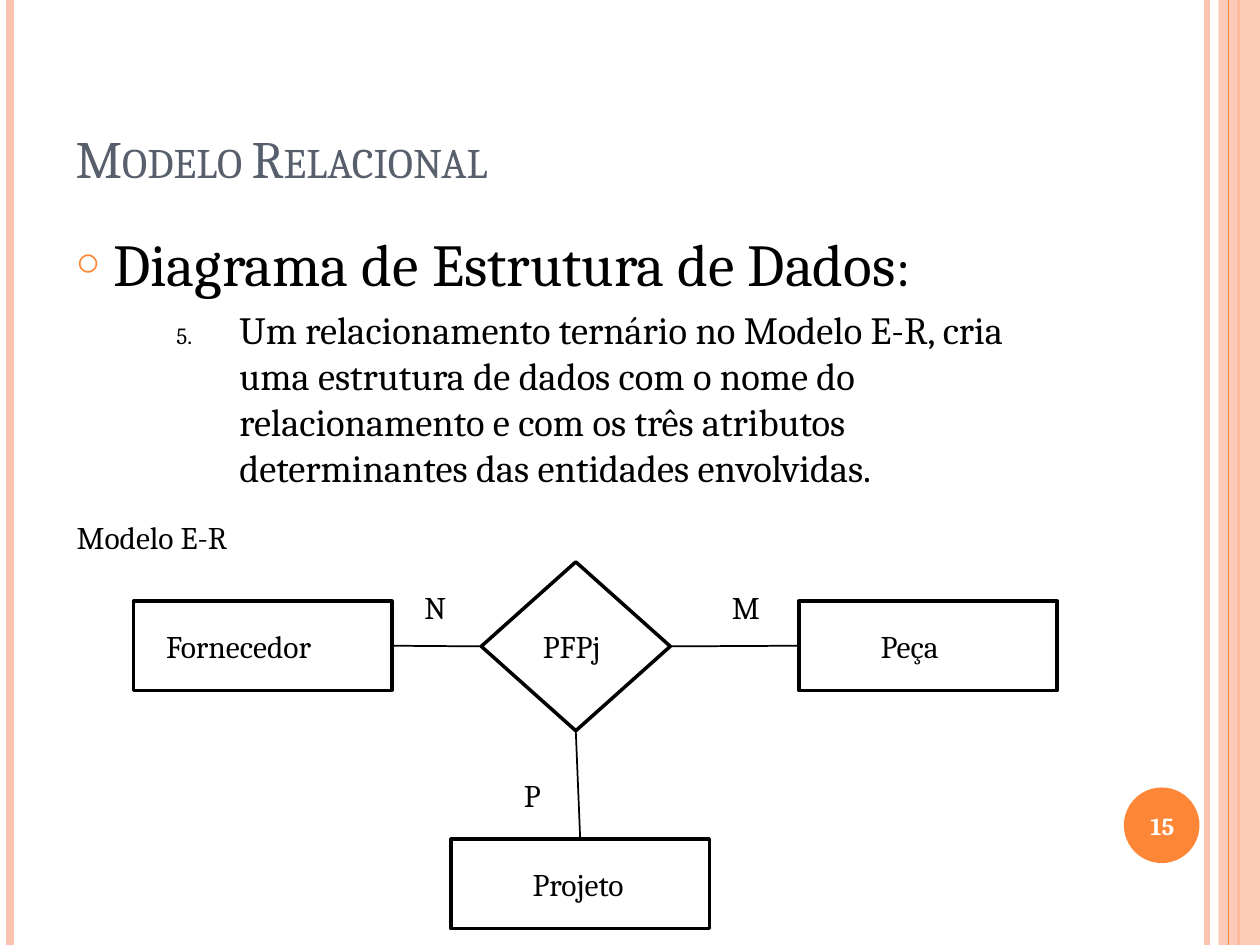
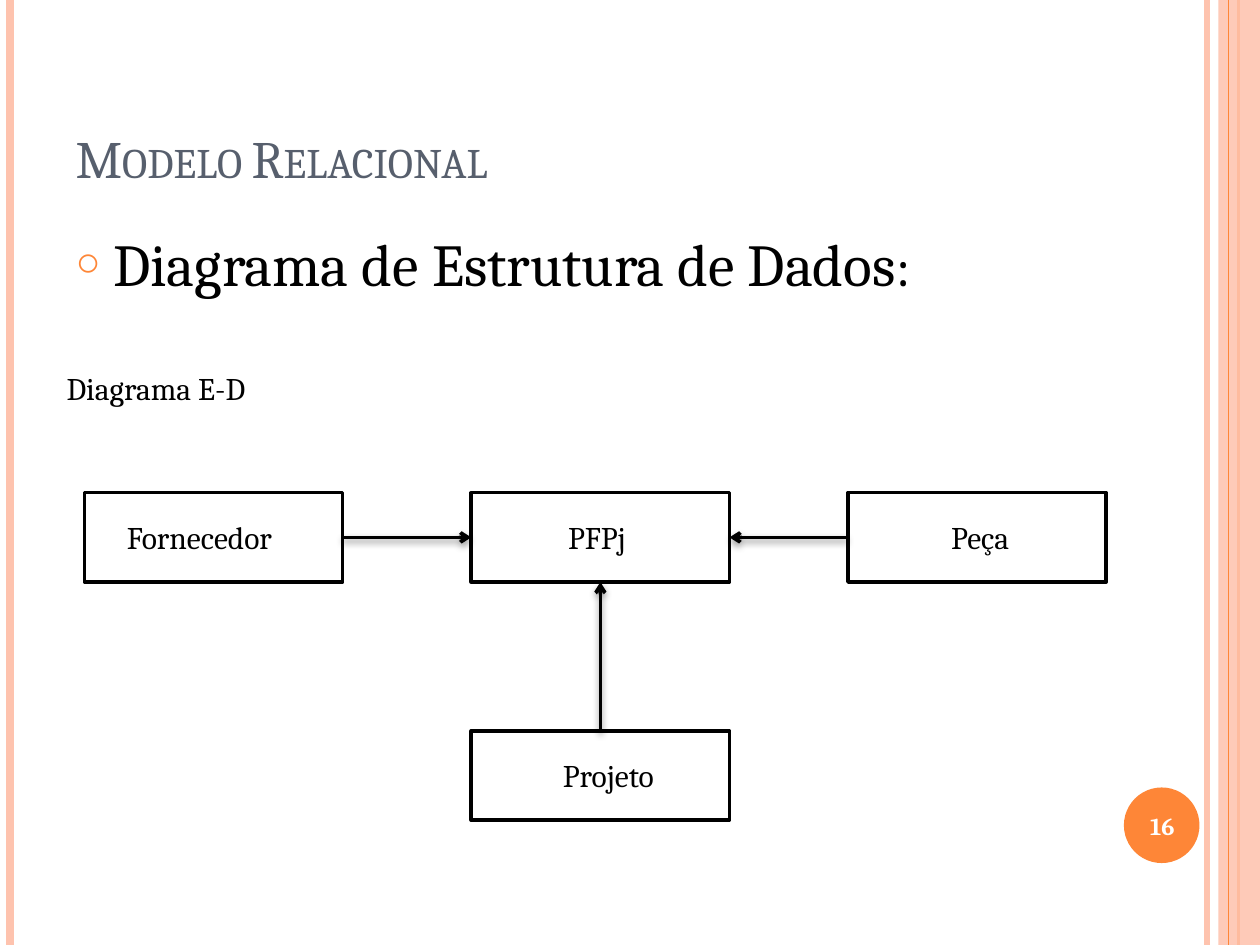
"""Build two slides showing a ternary relationship as an E-R model and as a data structure diagram."""
from lxml import etree
from pptx import Presentation
from pptx import util as u
from pptx.dml.color import RGBColor
from pptx.enum import shapes, text
from pptx.oxml import ns

BLACK = RGBColor(0x00, 0x00, 0x00)
WHITE = RGBColor(0xFF, 0xFF, 0xFF)
SLATE = RGBColor(0x57, 0x5F, 0x6D)
ORANGE = RGBColor(0xFE, 0x86, 0x37)
PEACH = RGBColor(0xFE, 0xC3, 0xAE)
FONT = "Cambria"
HEIGHT = 7.5
BOX = (2.05, 0.71)
DIAMOND = (1.5, 1.34)
LABEL_HEIGHT = 0.4
RECTANGLE = shapes.MSO_SHAPE.RECTANGLE
TOP, LEFT, BOTTOM, RIGHT = range(4)

BANDS = [(9.58, PEACH, 3), (0.08, PEACH, 4.5), (9.83, ORANGE, 1.5), (9.75, ORANGE, 0.75)]
RULE = ("Um relacionamento ternário no Modelo E-R, cria uma estrutura de dados com o nome do "
        "relacionamento e com os três atributos determinantes das entidades envolvidas.")

SLIDES = [
    {
        "number": "15",
        "rule": RULE,
        "labels": [("Modelo E-R", 0.51, 4.06, 1.53), ("N", 3.27, 4.62, 0.38),
                   ("M", 5.71, 4.62, 0.41), ("P", 4.06, 6.11, 0.37)],
        "nodes": [("Fornecedor", RECTANGLE, BOX, 1.06, 4.77, 1.22, 1.64),
                  ("Peça", RECTANGLE, BOX, 6.34, 4.77, 6.89, 0.78),
                  ("PFPj", shapes.MSO_SHAPE.DIAMOND, DIAMOND, 3.82, 4.46, 4.21, 0.75),
                  ("Projeto", RECTANGLE, BOX, 3.58, 6.66, 4.13, 1)],
        "links": [("PFPj", BOTTOM, "Projeto", TOP), ("Fornecedor", RIGHT, "PFPj", LEFT),
                  ("PFPj", RIGHT, "Peça", LEFT)],
        "arrows": False,
    },
    {
        "number": "16",
        "rule": None,
        "labels": [("Diagrama E-D", 0.43, 2.88, 1.8)],
        "nodes": [("Fornecedor", RECTANGLE, BOX, 0.67, 3.91, 0.91, 1.64),
                  ("Peça", RECTANGLE, BOX, 6.73, 3.91, 7.45, 0.78),
                  ("PFPj", RECTANGLE, BOX, 3.74, 3.91, 4.41, 0.75),
                  ("Projeto", RECTANGLE, BOX, 3.74, 5.8, 4.37, 1)],
        "links": [("Fornecedor", RIGHT, "PFPj", LEFT), ("Peça", LEFT, "PFPj", RIGHT),
                  ("Projeto", TOP, "PFPj", BOTTOM)],
        "arrows": True,
    },
]


def add_xml(parent, tag, **attributes):
    return etree.SubElement(parent, ns.qn(tag), attributes)


def add_run(paragraph, words, size, colour=BLACK, bold=False):
    run = paragraph.add_run()
    run.text = words
    run.font.name = FONT
    run.font.size = u.Pt(size)
    run.font.bold = bold
    run.font.color.rgb = colour
    return run


presentation = Presentation()
presentation.slide_width = u.Inches(10)
presentation.slide_height = u.Inches(HEIGHT)

for content in SLIDES:
    slide = presentation.slides.add_slide(presentation.slide_layouts[1])

    for left, colour, width in BANDS:
        if left == 9.75:
            panel = slide.shapes.add_shape(RECTANGLE, u.Inches(9.67), 0,
                                           u.Inches(0.33), u.Inches(HEIGHT))
            panel.shadow.inherit = False
            panel.fill.solid()
            panel.fill.fore_color.rgb = PEACH
            panel.line.fill.background()
            add_xml(panel.element.spPr.find(".//" + ns.qn("a:srgbClr")), "a:alpha", val="87000")
        band = slide.shapes.add_connector(shapes.MSO_CONNECTOR.STRAIGHT, u.Inches(left), 0,
                                          u.Inches(left), u.Inches(HEIGHT))
        band.line.color.rgb = colour
        band.line.width = u.Pt(width)
        add_xml(band.element.spPr, "a:effectLst")

    badge = slide.shapes.add_shape(shapes.MSO_SHAPE.OVAL, u.Inches(8.92), u.Inches(6.25),
                                   u.Inches(0.6), u.Inches(0.6))
    badge.shadow.inherit = False
    badge.fill.solid()
    badge.fill.fore_color.rgb = ORANGE
    badge.line.fill.background()
    number = slide.shapes.add_textbox(u.Inches(8.89), u.Inches(6.27), u.Inches(0.67), u.Inches(0.57))
    number.text_frame.word_wrap = True
    number.text_frame.vertical_anchor = text.MSO_ANCHOR.MIDDLE
    paragraph = number.text_frame.paragraphs[0]
    paragraph.alignment = text.PP_ALIGN.CENTER
    add_run(paragraph, content["number"], 14, WHITE, True)

    title, body = slide.shapes.title, slide.placeholders[1]
    for placeholder, top, height in [(title, 0.3, 1.25), (body, 1.75, 4.76)]:
        placeholder.left, placeholder.top = u.Inches(0.5), u.Inches(top)
        placeholder.width, placeholder.height = u.Inches(8.17), u.Inches(height)
        placeholder.text_frame.auto_size = text.MSO_AUTO_SIZE.NONE
    title.text_frame.vertical_anchor = text.MSO_ANCHOR.BOTTOM
    paragraph = title.text_frame.paragraphs[0]
    paragraph.alignment = text.PP_ALIGN.LEFT
    heading = add_run(paragraph, "Modelo Relacional", 30, SLATE)
    heading.font._element.set("cap", "small")

    paragraph = body.text_frame.paragraphs[0]
    paragraph.space_before = u.Pt(6)
    properties = paragraph._p.get_or_add_pPr()
    properties.set("marL", str(u.Inches(0.3)))
    properties.set("indent", str(u.Inches(-0.3)))
    add_xml(add_xml(properties, "a:buClr"), "a:srgbClr", val=str(ORANGE))
    add_xml(properties, "a:buSzPct", val="70000")
    add_xml(properties, "a:buChar", char="○")
    add_run(paragraph, "Diagrama de Estrutura de Dados", 34)
    add_run(paragraph, ":", 31)

    if content["rule"]:
        paragraph = body.text_frame.add_paragraph()
        paragraph.level = 2
        paragraph.space_before = u.Pt(4.4)
        properties = paragraph._p.get_or_add_pPr()
        properties.set("marL", str(u.Inches(1.3)))
        properties.set("indent", str(u.Inches(-0.5)))
        add_xml(properties, "a:buSzPct", val="60000")
        add_xml(properties, "a:buFont", typeface=FONT)
        add_xml(properties, "a:buAutoNum", type="arabicPeriod", startAt="5")
        add_run(paragraph, content["rule"], 22)

    nodes = {}
    labels = list(content["labels"])
    for name, kind, (width, height), left, top, label_left, label_width in content["nodes"]:
        node = slide.shapes.add_shape(kind, u.Inches(left), u.Inches(top),
                                      u.Inches(width), u.Inches(height))
        node.shadow.inherit = False
        node.fill.background()
        node.line.color.rgb = BLACK
        node.line.width = u.Pt(2)
        nodes[name] = node
        labels.append((name, label_left, top + (height - LABEL_HEIGHT) / 2, label_width))

    for words, left, top, width in labels:
        label = slide.shapes.add_textbox(u.Inches(left), u.Inches(top),
                                         u.Inches(width), u.Inches(LABEL_HEIGHT))
        label.text_frame.word_wrap = True
        add_run(label.text_frame.paragraphs[0], words, 18)

    for start, start_side, end, end_side in content["links"]:
        link = slide.shapes.add_connector(shapes.MSO_CONNECTOR.STRAIGHT, 0, 0, 0, 0)
        link.begin_connect(nodes[start], start_side)
        link.end_connect(nodes[end], end_side)
        link.line.color.rgb = BLACK
        link.line.width = u.Pt(2 if content["arrows"] else 1)
        effects = add_xml(link.element.spPr, "a:effectLst")
        if content["arrows"]:
            add_xml(link.line._get_or_add_ln(), "a:tailEnd", type="arrow")
            shadow = add_xml(effects, "a:outerShdw", blurRad=str(u.Pt(4)), dist=str(u.Pt(2)),
                             dir="5400000", rotWithShape="0")
            add_xml(add_xml(shadow, "a:srgbClr", val=str(BLACK)), "a:alpha", val="40000")

presentation.save("out.pptx")
